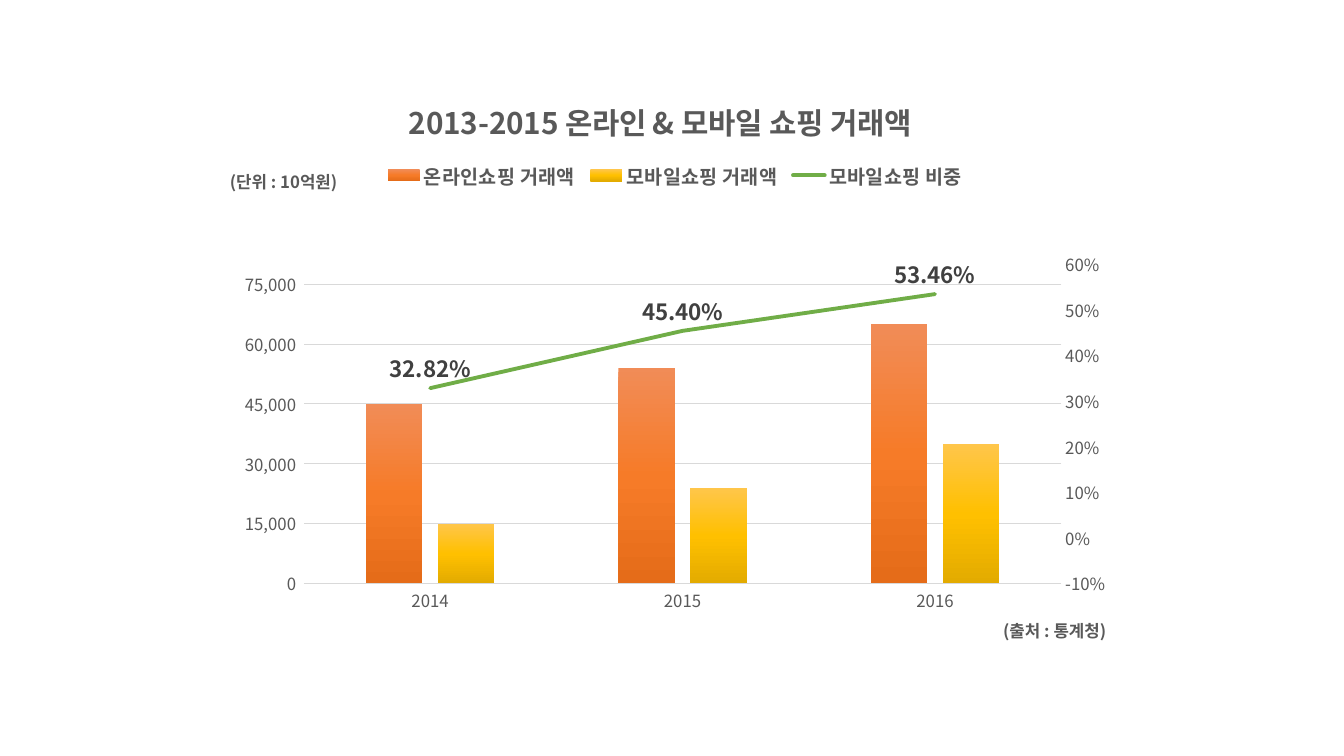
from dataclasses import dataclass

from lxml.etree import SubElement
from pptx import Presentation
from pptx.chart.axis import ValueAxis
from pptx.chart.data import CategoryChartData
from pptx.dml.color import RGBColor
from pptx.enum.chart import (XL_CHART_TYPE, XL_LABEL_POSITION, XL_LEGEND_POSITION,
                             XL_MARKER_STYLE, XL_TICK_MARK)
from pptx.enum.text import PP_ALIGN
from pptx.oxml import parse_xml
from pptx.oxml.ns import nsdecls, qn
from pptx.util import Inches, Pt


@dataclass(frozen=True)
class Theme:
    font: str = "Noto Sans CJK KR"
    text: str = "595959"
    label: str = "404040"
    rule: str = "D9D9D9"
    share: str = "70AD47"
    online: tuple = ("F18C57", "F67B28", "E56C19")
    mobile: tuple = ("FFC64B", "FFC000", "E3AB00")
    title_size: float = 21.2
    label_size: int = 16
    legend_size: int = 14
    small_size: int = 12


THEME = Theme()
YEARS = ("2014", "2015", "2016")
SALES = (
    ("온라인쇼핑 거래액", (45000, 54000, 65000), THEME.online),
    ("모바일쇼핑 거래액", (15000, 24000, 35000), THEME.mobile),
)
SHARE = ("모바일쇼핑 비중", (0.3282, 0.4540, 0.5346))


def style_font(font, size, color=THEME.text, bold=False):
    font.name = THEME.font
    font.size = Pt(size)
    font.bold = bold
    font.color.rgb = RGBColor.from_string(color)


def write_text(tf, text, align=None, **style):
    p = tf.paragraphs[0]
    p.alignment = align
    r = p.add_run()
    r.text = text
    style_font(r.font, **style)


def style_line(line, color, width):
    line.color.rgb = RGBColor.from_string(color)
    line.width = Pt(width)


def place(element, x, y, w=None, h=None, inner=False):
    """Set a chart part's position as fractions of the chart area."""
    for old in element.findall(qn("c:layout")):
        element.remove(old)
    layout = parse_xml(f"<c:layout {nsdecls('c')}><c:manualLayout/></c:layout>")
    manual = layout[0]
    settings = [("layoutTarget", "inner")] if inner else []
    settings += [("xMode", "edge"), ("yMode", "edge"), ("x", x), ("y", y)]
    if w is not None:
        settings += [("w", w), ("h", h)]
    for tag, val in settings:
        SubElement(manual, qn(f"c:{tag}"), val=str(val))
    overlay = element.find(qn("c:overlay"))
    if overlay is None:
        element.insert(0, layout)
    else:
        overlay.addprevious(layout)


def fill_gradient(ser, colors):
    """Fill a bar series from top to bottom with evenly spaced colours."""
    step = 100000 // (len(colors) - 1)
    stops = "".join(f'<a:gs pos="{i * step}"><a:srgbClr val="{color}"/></a:gs>'
                    for i, color in enumerate(colors))
    ser.get_or_add_spPr().append(parse_xml(
        f"<a:gradFill {nsdecls('a')}><a:gsLst>{stops}</a:gsLst>"
        '<a:lin ang="5400000" scaled="0"/></a:gradFill>'))


def move_share_to_line(plot_area):
    """Turn the last bar series into a line on a second value axis."""
    bars = plot_area.find(qn("c:barChart"))
    ser = bars.findall(qn("c:ser"))[-1]
    for flag in ser.findall(qn("c:invertIfNegative")):
        ser.remove(flag)
    lines = parse_xml(
        f"<c:lineChart {nsdecls('c')}><c:grouping val=\"standard\"/>"
        '<c:varyColors val="0"/><c:marker val="1"/>'
        '<c:axId val="501"/><c:axId val="502"/></c:lineChart>')
    lines.insert(2, ser)
    bars.addnext(lines)
    last = plot_area.findall(qn("c:valAx"))[-1]
    for tag, own, other, hidden, pos, crosses in (
            ("valAx", 502, 501, 0, "r", "max"), ("catAx", 501, 502, 1, "b", "autoZero")):
        last.addnext(parse_xml(
            f'<c:{tag} {nsdecls("c")}><c:axId val="{own}"/>'
            '<c:scaling><c:orientation val="minMax"/></c:scaling>'
            f'<c:delete val="{hidden}"/><c:axPos val="{pos}"/>'
            '<c:majorTickMark val="none"/><c:minorTickMark val="none"/>'
            f'<c:tickLblPos val="nextTo"/><c:crossAx val="{other}"/>'
            f'<c:crosses val="{crosses}"/></c:{tag}>'))


def style_axis(axis):
    axis.major_tick_mark = axis.minor_tick_mark = XL_TICK_MARK.NONE
    style_font(axis.tick_labels.font, THEME.small_size)


def style_value_axis(axis, low, high, step, number_format):
    style_axis(axis)
    axis.minimum_scale, axis.maximum_scale, axis.major_unit = low, high, step
    axis.tick_labels.number_format = number_format
    axis.tick_labels.number_format_is_linked = False
    axis.format.line.fill.background()


def style_axes(chart, plot_area):
    years = chart.category_axis
    style_axis(years)
    style_line(years.format.line, THEME.rule, 1)
    years.has_title = True
    write_text(years.axis_title.text_frame, "(단위 : 10억원)",
               size=THEME.small_size, bold=True)
    place(years.axis_title.element, 0, 0.14)

    amounts, shares = (ValueAxis(ax) for ax in plot_area.findall(qn("c:valAx")))
    style_value_axis(amounts, 0, 80000, 15000, r"#,##0_);[Red]\(#,##0\)")
    amounts.has_major_gridlines = True
    style_line(amounts.major_gridlines.format.line, THEME.rule, 0.75)
    style_value_axis(shares, -0.1, 0.6, 0.1, "0%")
    shares.has_major_gridlines = False


def style_share(series):
    style_line(series.format.line, THEME.share, 2.75)
    series.smooth = False
    series.marker.style = XL_MARKER_STYLE.NONE
    labels = series.data_labels
    labels.show_value = True
    labels.position = XL_LABEL_POSITION.ABOVE
    labels.number_format = "0.00%"
    labels.number_format_is_linked = False
    style_font(labels.font, THEME.label_size, THEME.label, bold=True)


def add_sales_chart(slide):
    data = CategoryChartData()
    data.categories = YEARS
    for name, values, _ in SALES:
        data.add_series(name, values)
    data.add_series(*SHARE, number_format="0.00%")
    chart = slide.shapes.add_chart(
        XL_CHART_TYPE.COLUMN_CLUSTERED, Inches(2.25), Inches(0.79),
        Inches(8.89), Inches(5.93), data).chart
    style_font(chart.font, THEME.small_size)
    plot_area = chart.element.find(f".//{qn('c:plotArea')}")
    move_share_to_line(plot_area)
    place(plot_area, 0.086, 0.309, 0.845, 0.534, inner=True)

    chart.has_title = True
    write_text(chart.chart_title.text_frame, "2013-2015 온라인 & 모바일 쇼핑 거래액",
               size=THEME.title_size, bold=True)
    place(chart.chart_title.element, 0.197, 0.02)

    chart.has_legend = True
    chart.legend.position = XL_LEGEND_POSITION.TOP
    chart.legend.include_in_layout = False
    style_font(chart.legend.font, THEME.legend_size, bold=True)
    place(chart.element.find(f".//{qn('c:legend')}"), 0.17, 0.13, 0.66, 0.06)

    bars, lines = chart.plots
    bars.gap_width, bars.overlap, bars.vary_by_categories = 219, -27, False
    for ser, (_, _, colors) in zip(plot_area.iter(qn("c:ser")), SALES):
        fill_gradient(ser, colors)
    style_share(lines.series[0])
    share_line = plot_area.find(f"{qn('c:lineChart')}/{qn('c:ser')}/{qn('c:spPr')}/{qn('a:ln')}")
    share_line.set("cap", "rnd")
    style_axes(chart, plot_area)
    return chart


def add_source(slide):
    tf = slide.shapes.add_textbox(Inches(9.47), Inches(6.11), Inches(1.6), Inches(0.32)).text_frame
    tf.word_wrap = True
    write_text(tf, "(출처 : 통계청)", align=PP_ALIGN.RIGHT, size=THEME.small_size, bold=True)


def set_korean_font(root):
    """Use each Latin typeface for Korean letters too."""
    for latin in list(root.iter(qn("a:latin"))):
        latin.addnext(parse_xml(f'<a:ea {nsdecls("a")} typeface="{THEME.font}"/>'))


def main():
    prs = Presentation()
    prs.slide_width, prs.slide_height = Inches(13.33), Inches(7.5)
    slide = prs.slides.add_slide(prs.slide_layouts[6])
    chart = add_sales_chart(slide)
    add_source(slide)
    for root in (chart.element, slide.element):
        set_korean_font(root)
    prs.save("out.pptx")


if __name__ == "__main__":
    main()
